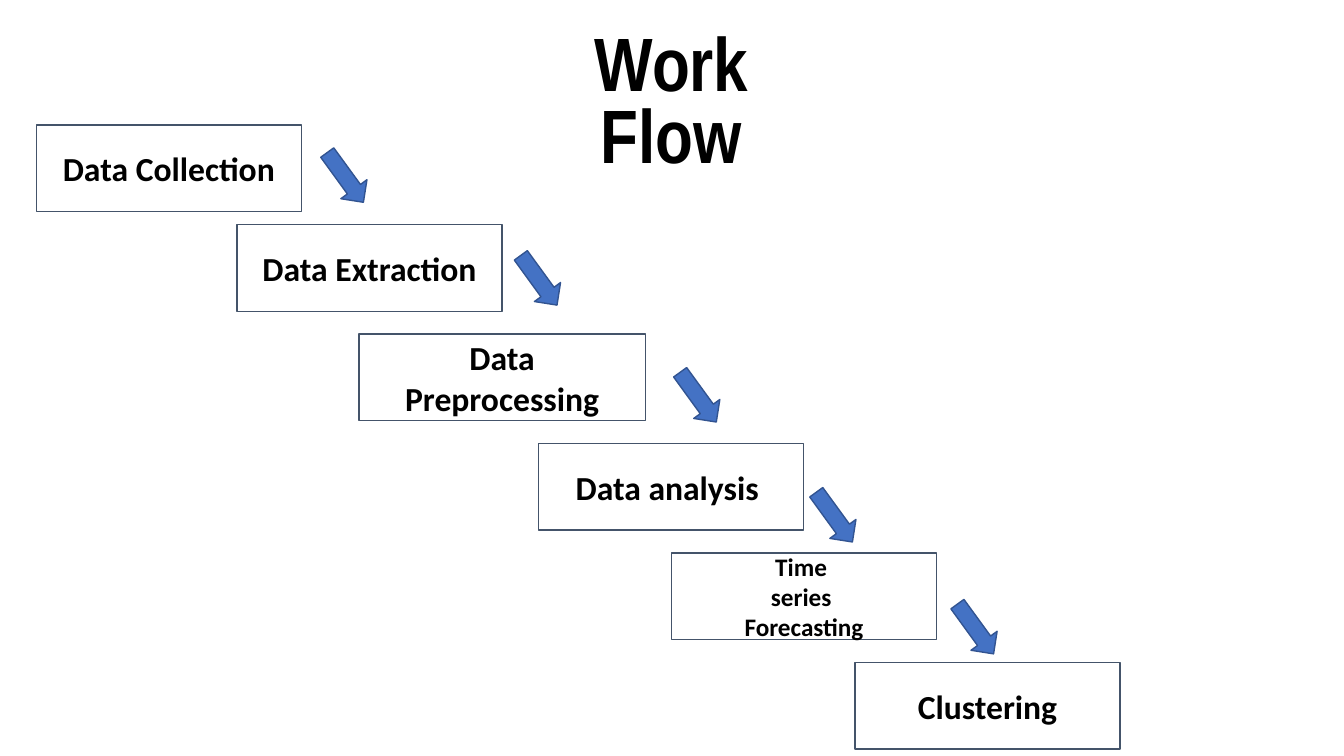
from typing import NamedTuple

from pptx import Presentation
from pptx.dml.color import RGBColor
from pptx.enum import shapes, text
from pptx.util import Inches, Pt

BLACK, WHITE, SLATE = "000000", "FFFFFF", "44546A"
BLUE, NAVY = "4472C4", "325491"
HIGH = 0.86
FIRST, SECOND, RISE = 1.24, 2.23, 1.085


class Step(NamedTuple):
    """One stage of the work flow."""
    label: str
    left: float
    width: float = 2.63
    size: int = 24


class Arrow(NamedTuple):
    """Place of an arrow between two stages."""
    left: float
    top: float


STEPS = [
    Step("Data Collection", 0.36),
    Step("Data Extraction", 2.35),
    Step("Data Preprocessing", 3.56, width=2.84),
    Step("Data analysis ", 5.34),
    Step("Time \nseries \nForecasting", 6.66, size=18),
    Step("Clustering", 8.48),
]
ARROWS = [Arrow(3.12, 1.6), Arrow(5.04, 2.62), Arrow(6.62, 3.78),
          Arrow(7.97, 4.97), Arrow(9.37, 6.08)]


def color(code: str) -> RGBColor:
    """Turn a hex string into a colour."""
    return RGBColor.from_string(code)


def write(shape, words: str, *, size: int, font: str = "Calibri",
          lines: float = 1.0, inset: float = 0.1,
          anchor=text.MSO_ANCHOR.MIDDLE) -> None:
    """Fill a shape with bold centred text, one paragraph a line."""
    frame = shape.text_frame
    frame.word_wrap = True
    frame.vertical_anchor = anchor
    frame.margin_left = frame.margin_right = Inches(inset)
    frame.text = words
    for para in frame.paragraphs:
        para.alignment = text.PP_ALIGN.CENTER
        para.line_spacing = lines
        para.font.name = font
        para.font.size = Pt(size)
        para.font.bold = True
        para.font.color.rgb = color(BLACK)


def draw(slide, kind, left: float, top: float, width: float, height: float,
         fill: str, line: str):
    """Add a filled and outlined preset shape."""
    shape = slide.shapes.add_shape(kind, Inches(left), Inches(top),
                                   Inches(width), Inches(height))
    shape.shadow.inherit = False
    shape.fill.solid()
    shape.fill.fore_color.rgb = color(fill)
    shape.line.color.rgb = color(line)
    shape.line.width = Pt(1)
    return shape


def add_step(slide, step: Step, top: float) -> None:
    """Draw the box of one stage."""
    box = draw(slide, shapes.MSO_SHAPE.RECTANGLE, step.left, top,
               step.width, HIGH, WHITE, SLATE)
    write(box, step.label, size=step.size, inset=0.15)


def add_arrow(slide, arrow: Arrow) -> None:
    """Draw an arrow that points down to the next stage."""
    shape = draw(slide, shapes.MSO_SHAPE.RIGHT_ARROW, arrow.left, arrow.top,
                 0.61, 0.32, BLUE, NAVY)
    shape.rotation = 54


def main() -> None:
    """Build the slide and save it."""
    deck = Presentation()
    deck.slide_width, deck.slide_height = Inches(13.33), Inches(7.5)
    slide = deck.slides.add_slide(deck.slide_layouts[6])

    title = slide.shapes.add_textbox(Inches(5.24), Inches(0.28),
                                     Inches(2.84), Inches(HIGH))
    write(title, "Work Flow", size=54, font="Arial Narrow", lines=0.8,
          anchor=text.MSO_ANCHOR.TOP)

    for index, step in enumerate(STEPS):
        add_step(slide, step, SECOND + RISE * (index - 1) if index else FIRST)
    for arrow in ARROWS:
        add_arrow(slide, arrow)

    deck.save("out.pptx")


main()
